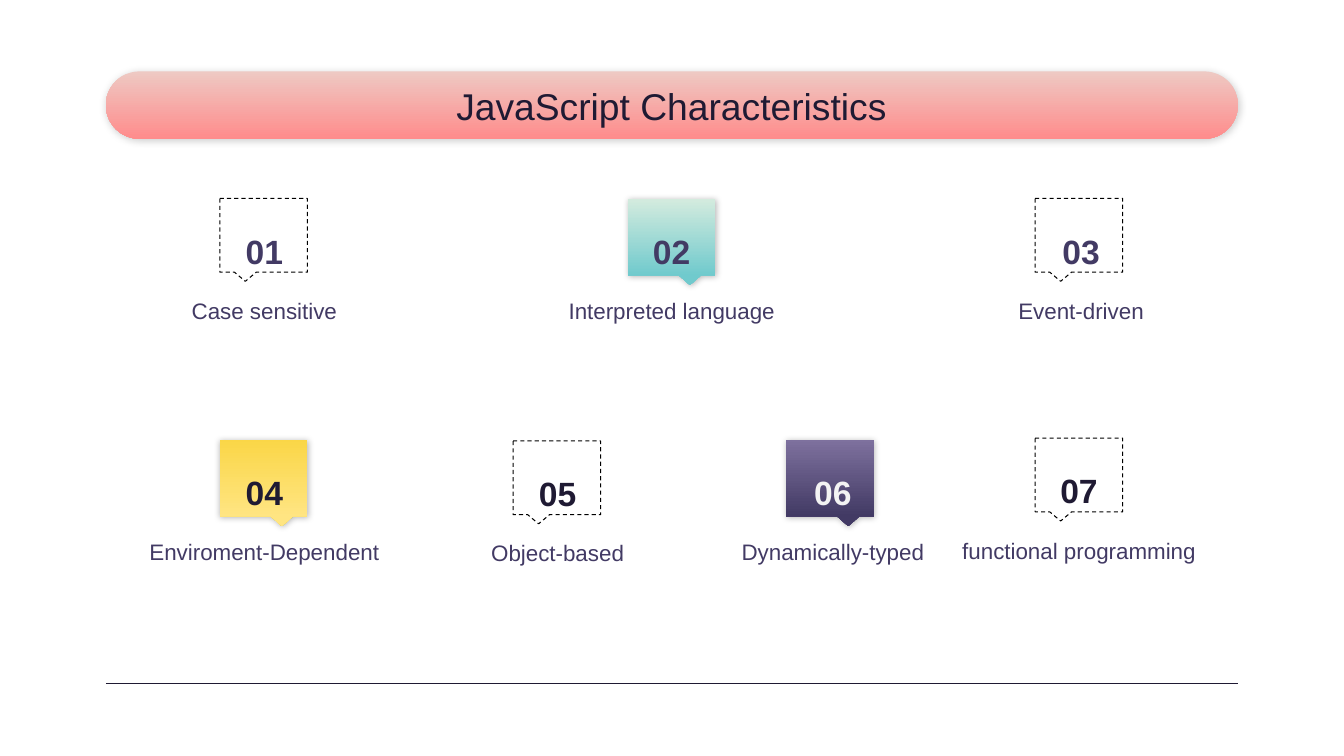
from lxml.etree import SubElement
from pptx import Presentation
from pptx.dml.color import RGBColor
from pptx.enum.dml import MSO_LINE
from pptx.enum.shapes import MSO_CONNECTOR, MSO_SHAPE
from pptx.enum.text import MSO_ANCHOR, MSO_AUTO_SIZE, PP_ALIGN
from pptx.oxml.ns import qn
from pptx.util import Pt

INK = RGBColor(0x1F, 0x1A, 0x33)
PLUM = RGBColor(0x42, 0x3A, 0x64)
PALE = RGBColor(0xF3, 0xF3, 0xF3)
BLACK = RGBColor(0, 0, 0)
CORAL = (RGBColor(0xEE, 0xC9, 0xC3), RGBColor(0xFF, 0x8C, 0x8C))
TEAL = (RGBColor(0xD4, 0xEB, 0xDE), RGBColor(0x70, 0xCA, 0xCD))
GOLD = (RGBColor(0xFA, 0xD6, 0x47), RGBColor(0xFF, 0xE5, 0x82))
VIOLET = (RGBColor(0x7E, 0x71, 0x9E), PLUM)

LEFT, WIDTH = 75.6, 808.6
TILE = 62.6
PAD = 9.6

# Number, label, tile left, tile top, number colour, gradient, text shift
TRAITS = [
    ("01", "Case sensitive", 157, 141.8, PLUM, None, 0.5),
    ("02", "Interpreted language", 448.5, 141.8, PLUM, TEAL, 0),
    ("03", "Event-driven", 739.4, 141.8, PLUM, None, 1.5),
    ("04", "Enviroment-Dependent", 157, 314, INK, GOLD, 0.5),
    ("05", "Object-based", 366.5, 315, INK, None, 0.5),
    ("06", "Dynamically-typed", 561.6, 314, PALE, VIOLET, 2),
    ("07", "functional programming", 739.4, 313, INK, None, 0),
]


def write(shape, text, size=16, color=PLUM, bold=False, after=16,
          anchor=MSO_ANCHOR.TOP, base=PAD):
    frame = shape.text_frame
    frame.word_wrap = True
    frame.auto_size = MSO_AUTO_SIZE.NONE
    frame.vertical_anchor = anchor
    frame.margin_left = frame.margin_right = frame.margin_top = Pt(PAD)
    frame.margin_bottom = Pt(base)
    para = frame.paragraphs[0]
    para.text = text
    para.alignment = PP_ALIGN.CENTER
    para.space_before, para.space_after = Pt(0), Pt(after)
    font = para.runs[0].font
    font.name, font.size, font.bold = "Arial", Pt(size), bold
    font.color.rgb = color


def shade(shape, colors, blur, angle, alpha):
    """Fill with a vertical gradient and cast a soft shadow."""
    shape.fill.gradient()
    shape.fill.gradient_angle = 270
    for stop, color in zip(shape.fill.gradient_stops, colors):
        stop.color.rgb = color
    shape.line.fill.background()
    shape.shadow.inherit = False
    effects = shape._element.spPr.find(qn("a:effectLst"))
    cast = SubElement(effects, qn("a:outerShdw"), blurRad=str(Pt(blur)),
                      dist=str(Pt(0.8)), dir=str(angle * 60000),
                      algn="bl", rotWithShape="0")
    tint = SubElement(cast, qn("a:srgbClr"), val=str(BLACK))
    SubElement(tint, qn("a:alpha"), val=str(alpha * 1000))


def add_header(slide, left, top, width, height):
    # Pill behind the title
    box = Pt(left), Pt(top), Pt(width), Pt(height)
    pill = slide.shapes.add_shape(MSO_SHAPE.ROUNDED_RECTANGLE, *box)
    pill.adjustments[0] = 0.5
    shade(pill, CORAL, 5.6, 66, 20)

    # Title, raised above the pill
    title = slide.shapes.title
    span = 485.4
    title.left, title.top = Pt(left + (width - span) / 2), Pt(top)
    title.width, title.height = Pt(span), Pt(height)
    write(title, "JavaScript Characteristics", size=26.6, color=INK,
          after=0, anchor=MSO_ANCHOR.MIDDLE)
    pill._element.addnext(title._element)


def add_rule(slide, left, top, width):
    rule = slide.shapes.add_connector(MSO_CONNECTOR.STRAIGHT, Pt(left), Pt(top),
                                      Pt(left + width), Pt(top))
    rule.line.color.rgb = INK
    rule.line.width = Pt(0.75)
    SubElement(rule._element.spPr, qn("a:effectLst"))


def add_trait(slide, left, top, number, label, color, colors, shift):
    # Callout tile: shaded with a right tail, or dashed with a left tail
    height = 54.9 if colors else 52.6
    tile = slide.shapes.add_shape(MSO_SHAPE.ROUNDED_RECTANGULAR_CALLOUT,
                                  Pt(left), Pt(top), Pt(TILE), Pt(height))
    tile.adjustments[0] = 0.208 if colors else -0.208
    tile.adjustments[1] = 0.625
    tile.adjustments[2] = 0
    if colors:
        shade(tile, colors, 4.5, 63, 27)
    else:
        tile.shadow.inherit = False
        tile.fill.background()
        tile.line.color.rgb = BLACK
        tile.line.width = Pt(0.75)
        tile.line.dash_style = MSO_LINE.DASH

    # Number and label, centred on the tile
    def add_box(drop, width, height):
        start = left + TILE / 2 + shift - width / 2
        return slide.shapes.add_textbox(Pt(start), Pt(top + drop),
                                        Pt(width), Pt(height))

    write(add_box(16.6, 64, 31.7), number, size=24, color=color, bold=True,
          anchor=MSO_ANCHOR.MIDDLE, base=0)
    write(add_box(60.8, 226, 79.2), label)


def main():
    deck = Presentation()
    deck.slide_width, deck.slide_height = Pt(960), Pt(540)
    slide = deck.slides.add_slide(deck.slide_layouts[5])
    add_header(slide, LEFT, 51, WIDTH, 48.2)
    add_rule(slide, LEFT, 488.2, WIDTH)
    for number, label, left, top, color, colors, shift in TRAITS:
        add_trait(slide, left, top, number, label, color, colors, shift)
    deck.save("out.pptx")


if __name__ == "__main__":
    main()
